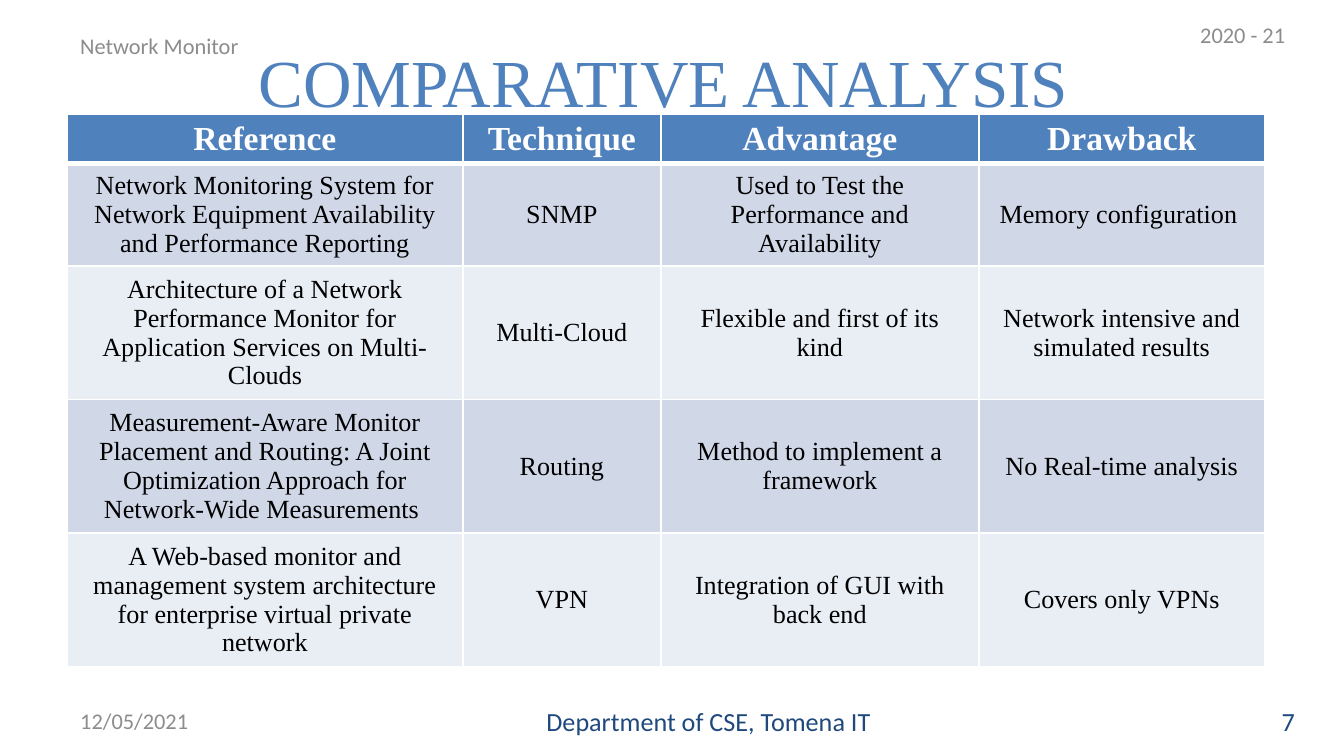
"""Build the comparative analysis slide with its table and header and footer texts."""
from lxml import etree
from pptx import Presentation
from pptx.dml.color import RGBColor
from pptx.enum.text import MSO_ANCHOR, PP_ALIGN
from pptx.oxml.ns import qn
from pptx.util import Pt

LEFT, CENTER, RIGHT = PP_ALIGN.LEFT, PP_ALIGN.CENTER, PP_ALIGN.RIGHT
MIDDLE = MSO_ANCHOR.MIDDLE
BLUE = RGBColor(0x4F, 0x81, 0xBD)
NAVY = RGBColor(0x1F, 0x49, 0x7D)
GRAY = RGBColor(0x8C, 0x8C, 0x8C)
DARK = RGBColor(0xD0, 0xD8, 0xE8)
PALE = RGBColor(0xE9, 0xED, 0xF4)
WHITE = RGBColor(0xFF, 0xFF, 0xFF)
BLACK = RGBColor(0, 0, 0)
SERIF, SANS = "Times New Roman", "Calibri"
SCALE = 914400 / 134.4


def px(*vals):
    return [round(v * SCALE) for v in vals]


def style(frame, text, size, face, color, align, bold=False):
    frame.text = text
    para = frame.paragraphs[0]
    para.alignment = align
    font = para.runs[0].font
    font.size, font.name, font.bold = Pt(size), face, bold
    font.color.rgb = color


prs = Presentation()
prs.slide_width, prs.slide_height = px(1344, 756)
slide = prs.slides.add_slide(prs.slide_layouts[5])

title = slide.shapes.title
title.left, title.top, title.width, title.height = px(67, 30, 1210, 101)
title.text_frame.vertical_anchor = MIDDLE
style(title.text_frame, "COMPARATIVE ANALYSIS ", 36, SERIF, BLUE, CENTER)

labels = [
    ("7", (1210, 701, 98, 40), 14, NAVY, RIGHT),
    ("2020 - 21", (1187, 9, 145, 51), 12, GRAY, LEFT),
    ("Department of CSE, Tomena IT", (458, 701, 426, 40), 14, NAVY, RIGHT),
    ("Network Monitor", (67, 31, 414, 30), 12, GRAY, LEFT),
    ("12/05/2021", (67, 701, 313, 40), 12, GRAY, LEFT),
]
for text, area, size, color, align in labels:
    frame = slide.shapes.add_textbox(*px(*area)).text_frame
    frame.word_wrap = True
    frame.vertical_anchor = MIDDLE
    style(frame, text, size, SANS, color, align)

rows = [
    ("Reference", "Technique", "Advantage", "Drawback"),
    ("Network Monitoring System for Network Equipment Availability and Performance Reporting",
     "SNMP", "Used to Test the Performance and Availability", "Memory configuration "),
    ("Architecture of a Network Performance Monitor for Application Services on Multi-Clouds",
     "Multi-Cloud", "Flexible and first of its kind", "Network intensive and simulated results"),
    ("Measurement-Aware Monitor Placement and Routing: A Joint Optimization Approach for "
     "Network-Wide Measurements ",
     "Routing", "Method to implement a framework", "No Real-time analysis"),
    ("A Web-based monitor and management system architecture for enterprise virtual private network",
     "VPN", "Integration of GUI with back end", "Covers only VPNs"),
]
widths = px(396, 198, 318, 286)
heights = px(50, 100, 129, 129, 129)
[pad] = px(4)
table = slide.shapes.add_table(
    len(rows), len(widths), *px(67, 114), sum(widths), sum(heights)).table
for col, width in zip(table.columns, widths):
    col.width = width
for row, height in zip(table.rows, heights):
    row.height = height

for r, texts in enumerate(rows):
    head = r == 0
    for c, text in enumerate(texts):
        cell = table.cell(r, c)
        cell.vertical_anchor = MIDDLE
        cell.margin_top = cell.margin_bottom = pad
        style(cell.text_frame, text, 18 if head else 14, SERIF,
              WHITE if head else BLACK, CENTER, head)
        props = cell._tc.get_or_add_tcPr()
        for side in "LRTB":
            thick = (head and side == "B") or (r == 1 and side == "T")
            line = etree.SubElement(props, qn("a:ln" + side), w=str(Pt(3 if thick else 1)))
            solid = etree.SubElement(line, qn("a:solidFill"))
            etree.SubElement(solid, qn("a:srgbClr"), val=str(WHITE))
        cell.fill.solid()
        cell.fill.fore_color.rgb = BLUE if head else DARK if r % 2 else PALE

prs.save("out.pptx")
